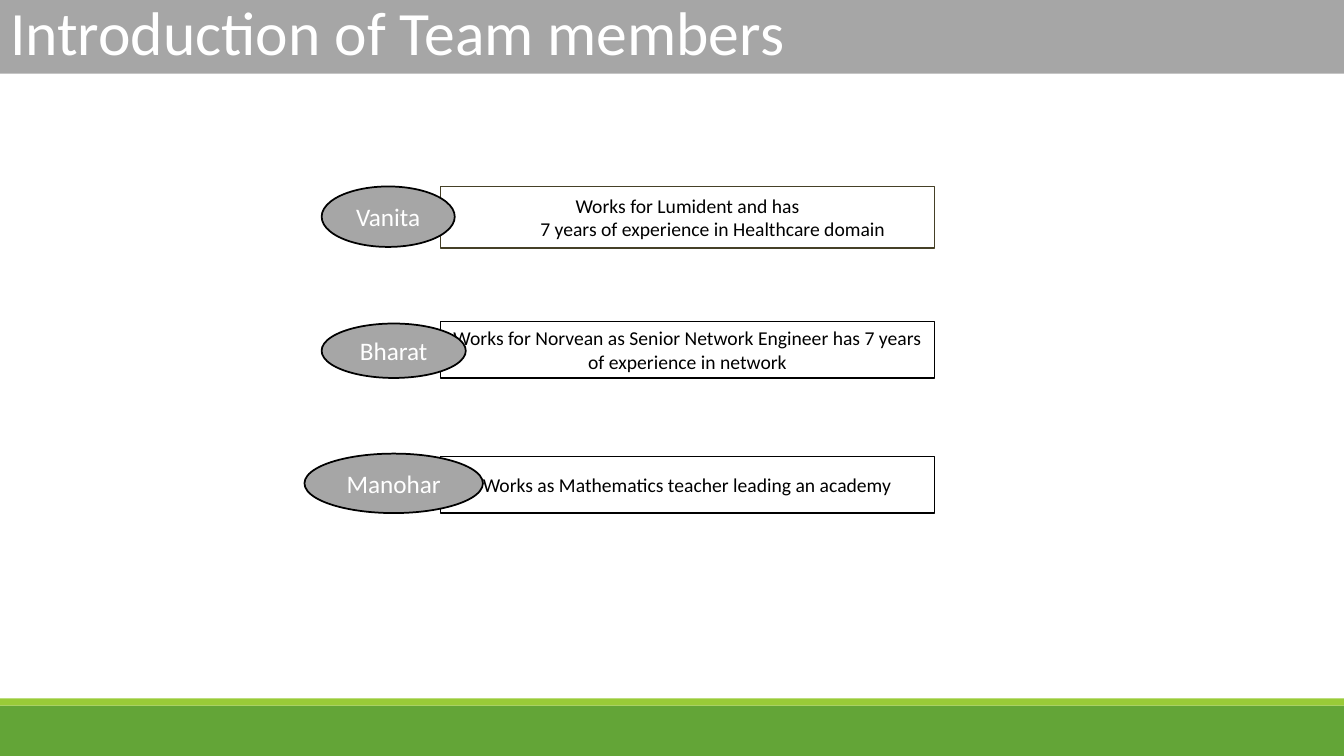
"""Build the slide that introduces the three team members."""
from dataclasses import dataclass

from pptx import Presentation
from pptx import util as u
from pptx.dml.color import RGBColor
from pptx.enum import shapes, text
from pptx.shapes.autoshape import Shape
from pptx.slide import Slide

WHITE = RGBColor(0xFF, 0xFF, 0xFF)
BLACK = RGBColor(0x00, 0x00, 0x00)
GRAY = RGBColor(0xA6, 0xA6, 0xA6)
BROWN = RGBColor(0x45, 0x40, 0x27)
GREEN = RGBColor(0x63, 0xA5, 0x37)
LIME = RGBColor(0x99, 0xCB, 0x38)
RECT = shapes.MSO_SHAPE.RECTANGLE
OVAL = shapes.MSO_SHAPE.FLOWCHART_CONNECTOR
LEFT = text.PP_ALIGN.LEFT
CENTER = text.PP_ALIGN.CENTER
WIDE = 13.33

Area = tuple[float, float, float, float]


@dataclass
class Line:
    """One paragraph of a member's story."""
    words: str
    indent: float = 0
    align: text.PP_ALIGN = CENTER


@dataclass
class Member:
    """A team member with a name oval and a story box."""
    name: str
    oval: Area
    top: float
    height: float
    story: list[Line]
    edge: RGBColor = BLACK


TEAM = [
    Member("Vanita", (3.19, 1.85, 1.32, 0.6), 1.85, 0.61,
           [Line("Works for Lumident and has"),
            Line("7 years of experience in Healthcare domain", 0.5)], BROWN),
    Member("Bharat", (3.19, 3.21, 1.43, 0.54), 3.19, 0.56,
           [Line("Works for Norvean as Senior Network Engineer has 7 years "
                 "of experience in network")]),
    Member("Manohar", (3.02, 4.5, 1.77, 0.59), 4.53, 0.56,
           [Line("Works as Mathematics teacher leading an academy", 0.32,
                 text.PP_ALIGN.JUSTIFY)]),
]


def write(shape: Shape, lines: list[Line], *, size: float, color: RGBColor) -> None:
    """Fill a shape with formatted paragraphs."""
    frame = shape.text_frame
    frame.word_wrap = True
    frame.vertical_anchor = text.MSO_ANCHOR.MIDDLE
    for rank, line in enumerate(lines):
        para = frame.add_paragraph() if rank else frame.paragraphs[0]
        para.alignment = line.align
        if line.indent:
            props = para._p.get_or_add_pPr()
            props.set("marL", str(u.Inches(line.indent)))
            props.set("indent", "0")
        run = para.add_run()
        run.text = line.words
        run.font.name = "Calibri"
        run.font.size = u.Pt(size)
        run.font.color.rgb = color


def paint(shape: Shape, fill: RGBColor) -> None:
    """Give a shape a solid fill."""
    shape.fill.solid()
    shape.fill.fore_color.rgb = fill


def draw(slide: Slide, kind: shapes.MSO_SHAPE, area: Area, fill: RGBColor,
         edge: RGBColor | None = None) -> Shape:
    """Add a flat preset shape, outlined if an edge colour is given."""
    shape = slide.shapes.add_shape(kind, *map(u.Inches, area))
    shape.shadow.inherit = False
    paint(shape, fill)
    if edge is None:
        shape.line.fill.background()
    else:
        shape.line.color.rgb = edge
        shape.line.width = u.Pt(1.25)
    return shape


def head(slide: Slide, words: str) -> None:
    """Turn the title placeholder into the top banner."""
    title = slide.shapes.title
    title.left, title.top = u.Inches(0), u.Inches(-0.11)
    title.width, title.height = u.Inches(WIDE), u.Inches(0.84)
    paint(title, GRAY)
    title.text_frame.auto_size = text.MSO_AUTO_SIZE.NONE
    write(title, [Line(words, align=LEFT)], size=44, color=WHITE)


def show(slide: Slide, member: Member) -> None:
    """Draw a member's story box with the name oval over it."""
    box = draw(slide, RECT, (4.37, member.top, 4.9, member.height), WHITE, member.edge)
    write(box, member.story, size=14, color=BLACK)
    badge = draw(slide, OVAL, member.oval, GRAY, BLACK)
    write(badge, [Line(member.name)], size=18, color=WHITE)


def main() -> None:
    """Build and save the deck."""
    deck = Presentation()
    deck.slide_width, deck.slide_height = u.Inches(WIDE), u.Inches(7.5)
    slide = deck.slides.add_slide(deck.slide_layouts[5])
    draw(slide, RECT, (0, 7, WIDE, 0.5), GREEN)
    draw(slide, RECT, (0, 6.93, WIDE, 0.07), LIME)
    head(slide, "Introduction of Team members")
    for member in TEAM:
        show(slide, member)
    deck.save("out.pptx")


if __name__ == "__main__":
    main()
